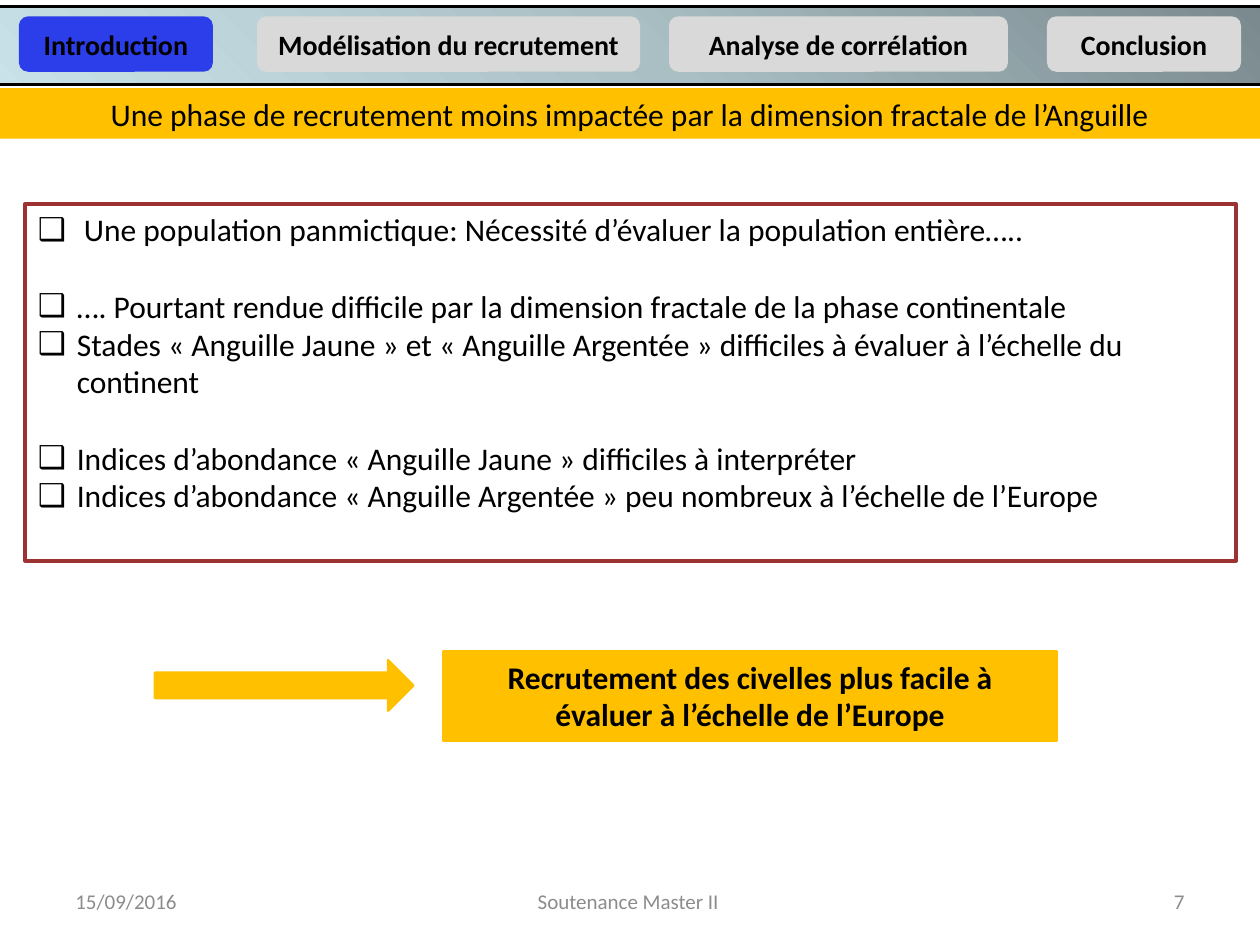
from pptx import Presentation
from pptx.dml.color import RGBColor
from pptx.enum.shapes import MSO_SHAPE as SHAPE
from pptx.enum.text import MSO_ANCHOR as ANCHOR, MSO_AUTO_SIZE as AUTO, PP_ALIGN as ALIGN
from pptx.oxml import parse_xml
from pptx.oxml.ns import nsdecls, qn
from pptx.util import Inches, Pt
from lxml.etree import SubElement

COLS, ROWS = 100, 75
CELL = Inches(0.1)
BLACK, GOLD, GREY = "000000", "FFC000", "8C8C8C"
BLUE, SILVER, RED = "2C3EEA", "D9D9D9", "9D3232"
BAR_STOPS = [(0, "77868A"), (50, "A9BFC4"), (100, "C9E2E9")]
TABS = [
    ("Introduction", 2.7, 15.4, BLUE),
    ("Modélisation du recrutement", 21.6, 30.4, SILVER),
    ("Analyse de corrélation", 54.3, 26.9, SILVER),
    ("Conclusion", 84.3, 15.4, SILVER),
]
TITLE = "Une phase de recrutement moins impactée par la dimension fractale de l’Anguille"
POINTS = [
    (" Une population panmictique: Nécessité d’évaluer la population entière…..", 0),
    ("…. Pourtant rendue difficile par la dimension fractale de la phase continentale", 22),
    ("Stades « Anguille Jaune » et « Anguille Argentée » difficiles à évaluer à l’échelle du continent", 0),
    ("Indices d’abondance « Anguille Jaune » difficiles à interpréter", 22),
    ("Indices d’abondance « Anguille Argentée » peu nombreux à l’échelle de l’Europe", 0),
]


def rgb(value):
    return RGBColor.from_string(value)


def cells(*values):
    return [round(v * CELL) for v in values]


def place(sp, box):
    sp.left, sp.top, sp.width, sp.height = cells(*box)


def paint(sp, fill=None, line=None, width=1.5):
    if fill:
        sp.fill.solid()
        sp.fill.fore_color.rgb = rgb(fill)
    else:
        sp.fill.background()
    if line:
        sp.line.color.rgb = rgb(line)
        sp.line.width = Pt(width)
    else:
        sp.line.fill.background()


def add_shape(s, kind, box, fill=None, line=None, width=1.5):
    sp = s.shapes.add_shape(kind, *cells(*box))
    sp.shadow.inherit = False
    paint(sp, fill, line, width)
    return sp


def frame(sp, anchor):
    tf = sp.text_frame
    tf.word_wrap = True
    tf.auto_size = AUTO.NONE
    tf.vertical_anchor = anchor
    return tf


def write(p, text, size=18, color=BLACK, bold=False, align=ALIGN.CENTER):
    p.alignment = align
    r = p.add_run()
    r.text = text
    r.font.name = "Calibri"
    r.font.size = Pt(size)
    r.font.bold = bold
    r.font.color.rgb = rgb(color)


def add_bullet(p, char, indent):
    pPr = p._p.get_or_add_pPr()
    pPr.set("marL", str(indent))
    pPr.set("indent", str(-indent))
    SubElement(pPr, qn("a:buChar")).set("char", char)


def radial_fill(sp, stops):
    gs = "".join(
        f'<a:gs pos="{pos * 1000}"><a:srgbClr val="{rgb(color)}"/></a:gs>'
        for pos, color in stops
    )
    grad = parse_xml(
        f'<a:gradFill {nsdecls("a")} rotWithShape="1"><a:gsLst>{gs}</a:gsLst>'
        '<a:path path="circle"><a:fillToRect l="100000" b="100000"/></a:path></a:gradFill>'
    )
    spPr = sp._element.spPr
    spPr.replace(spPr.find(qn("a:noFill")), grad)


def nav_bar(s, box):
    x, y, w, h = box
    bar = add_shape(s, SHAPE.RECTANGLE, box, line=BLACK, width=2)
    radial_fill(bar, BAR_STOPS)
    for text, dx, tab_w, fill in TABS:
        tab = add_shape(s, SHAPE.ROUNDED_RECTANGLE, (x + dx, y + 0.8, tab_w, h - 1.8), fill)
        write(frame(tab, ANCHOR.MIDDLE).paragraphs[0], text, 16, bold=True)


def title_band(s, box):
    sp = s.shapes.title
    place(sp, box)
    paint(sp, GOLD)
    write(frame(sp, ANCHOR.TOP).paragraphs[0], TITLE)


def point_list(s, box):
    sp = s.placeholders[1]
    place(sp, box)
    paint(sp, line=RED, width=2.25)
    tf = frame(sp, ANCHOR.TOP)
    for i, (text, gap) in enumerate(POINTS):
        p = tf.add_paragraph() if i else tf.paragraphs[0]
        add_bullet(p, "❑", Inches(0.31))
        p.space_before = Pt(gap)
        write(p, text, align=ALIGN.LEFT)


def conclusion(s, box):
    x, y, w, h = box
    add_shape(s, SHAPE.RIGHT_ARROW, (x, y + 0.7, 20.5, 4), GOLD, GOLD)
    sp = add_shape(s, SHAPE.RECTANGLE, (x + 22.9, y, w - 22.9, h), GOLD, GOLD)
    write(frame(sp, ANCHOR.TOP).paragraphs[0],
          "Recrutement des civelles plus facile à évaluer à l’échelle de l’Europe", bold=True)


def footer(s, box):
    x, y, w, h = box
    parts = [
        ("15/09/2016", 0, 23.3, ALIGN.LEFT),
        ("Soutenance Master II ", 29.2, 31.7, ALIGN.CENTER),
        ("7", w - 23.3, 23.3, ALIGN.RIGHT),
    ]
    for text, dx, part_w, align in parts:
        sp = s.shapes.add_textbox(*cells(x + dx, y, part_w, h))
        write(frame(sp, ANCHOR.MIDDLE).paragraphs[0], text, 12, GREY, align=align)


def main():
    prs = Presentation()
    prs.slide_width, prs.slide_height = cells(COLS, ROWS)
    s = prs.slides.add_slide(prs.slide_layouts[1])
    point_list(s, (2, 16.2, 96.1, 28.3))
    conclusion(s, (12.3, 51.7, 71.6, 7.1))
    footer(s, (5, 69.5, 90, 4))
    title_band(s, (-1.2, 7, 102.4, 4))
    nav_bar(s, (-1.2, 0.5, 104.7, 6.2))
    prs.save("out.pptx")


if __name__ == "__main__":
    main()
